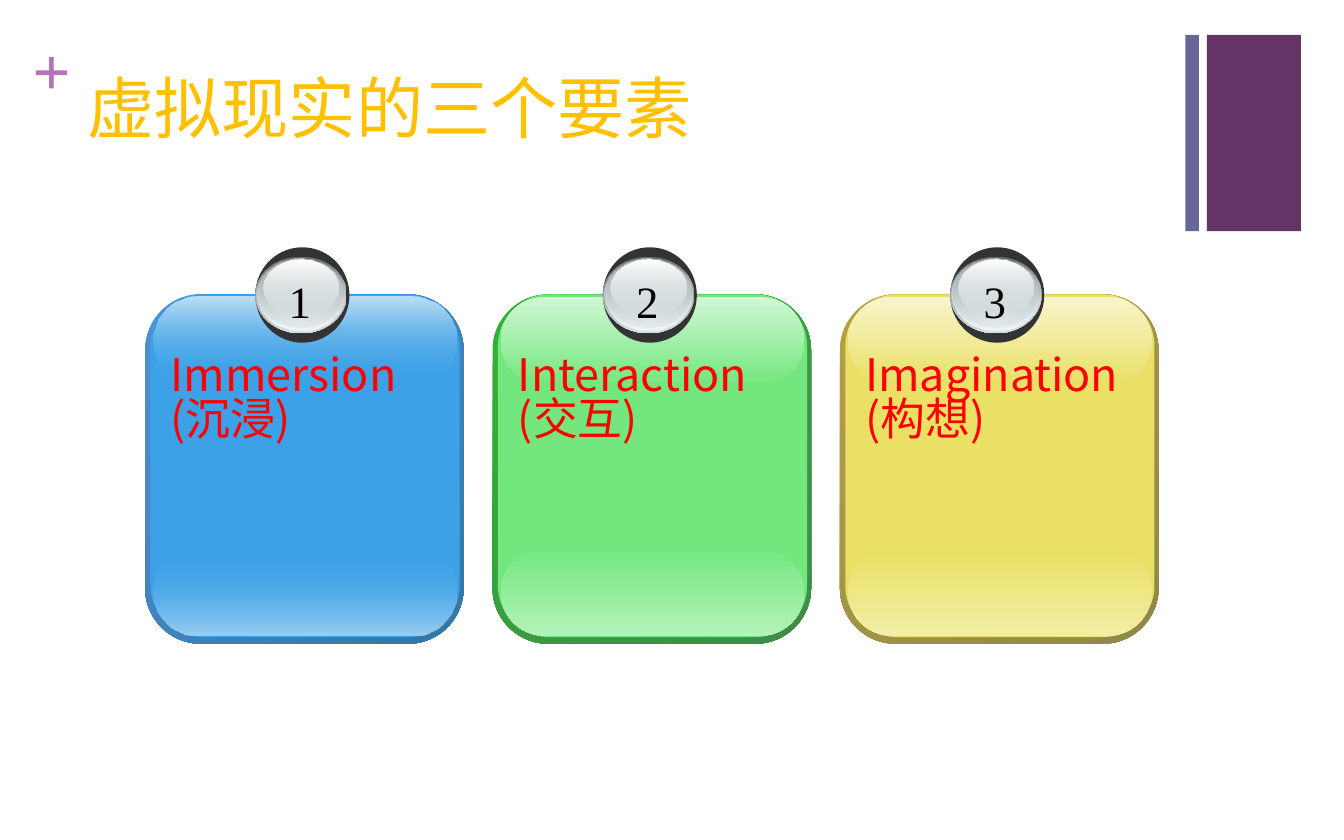
from dataclasses import dataclass

from lxml import etree
from pptx import Presentation
from pptx.dml.color import RGBColor
from pptx.enum import shapes, text
from pptx.oxml import ns
from pptx.util import Inches, Pt


@dataclass(frozen=True)
class Theme:
    title: str = "FFC000"
    label: str = "FF0000"
    number: str = "000000"
    plus: str = "B870B8"
    block: str = "663366"
    stripe: str = "666699"
    badge_rim: str = "333333"
    title_font: str = "Roboto Slab"
    label_font: str = "Noto Sans CJK SC"
    number_font: str = "Times New Roman"
    title_size: int = 36
    label_size: int = 24


THEME = Theme()
ROUND, OVAL = shapes.MSO_SHAPE.ROUNDED_RECTANGLE, shapes.MSO_SHAPE.OVAL

# Gradient stops are (colour, opacity in percent).
# Badge layers: offset and size within the badge, then the stops.
BADGE_LAYERS = [
    (0, 0.07, 0.68, 0.57, (("636869", 100), ("D6E1E2", 100))),
    (0.01, 0.07, 0.66, 0.55, (("D6E1E2", 0), ("F1F5F5", 100))),
    (0.02, 0.08, 0.63, 0.52, (("AAB2B3", 100), ("D6E1E2", 48))),
    (0.06, 0.09, 0.56, 0.42, (("FFFFFF", 100), ("D6E1E2", 38))),
]

# Number, label lines, edge colours, face, top glow, bottom glow, glow fade opacity
CARDS = [
    ("1", ("Immersion", "(沉浸)"), ("4E91D4", "3477A4"), "3CA1E6", "BEE0F7", "9BCFF2", 0),
    ("2", ("Interaction", "(交互)"), ("34B034", "3F8B4A"), "73E77E", "D0F7D4", "B3F2B9", 100),
    ("3", ("Imagination", "(构想)"), ("B59F43", "8F8849"), "E9E065", "F8F5CC", "F2EDA6", 100),
]
CARD_LEFT, CARD_TOP, CARD_PITCH = 1.08, 2.19, 2.585


def add_filled(slide, kind, box, fill, angle=90, corner=None):
    """Add a borderless shape; fill is a colour or a pair of gradient stops."""
    shape = slide.shapes.add_shape(kind, *map(Inches, box))
    shape.shadow.inherit = False
    shape.line.fill.background()
    if corner is not None:
        shape.adjustments[0] = corner
    if isinstance(fill, str):
        shape.fill.solid()
        shape.fill.fore_color.rgb = RGBColor.from_string(fill)
        return
    shape.fill.gradient()
    shape.fill.gradient_angle = 360 - angle
    for stop, (color, _) in zip(shape.fill.gradient_stops, fill):
        stop.color.rgb = RGBColor.from_string(color)
    colors = shape.fill._xPr.iter(ns.qn("a:srgbClr"))
    for element, (_, opacity) in zip(colors, fill):
        if opacity < 100:
            etree.SubElement(element, ns.qn("a:alpha")).set("val", str(opacity * 1000))


def write_lines(frame, lines, font_name, size, color, bold=False, spacing=None):
    for index, line in enumerate(lines):
        paragraph = frame.paragraphs[0] if index == 0 else frame.add_paragraph()
        paragraph.text = line
        paragraph.alignment = text.PP_ALIGN.LEFT
        paragraph.line_spacing = spacing
        font = paragraph.font
        font.name, font.size, font.bold = font_name, Pt(size), bold
        font.color.rgb = RGBColor.from_string(color)


def add_text(slide, box, lines, *style, wrap=True, inset=True, **options):
    frame = slide.shapes.add_textbox(*map(Inches, box)).text_frame
    frame.word_wrap = wrap
    if not inset:
        frame.margin_left = frame.margin_right = frame.margin_top = frame.margin_bottom = 0
    write_lines(frame, lines, *style, **options)


def add_header(slide, left, top, width, height):
    title = slide.shapes.title
    title.left, title.top, title.width, title.height = map(Inches, (left, top, width, height))
    title.text_frame.vertical_anchor = text.MSO_ANCHOR.TOP
    write_lines(title.text_frame, ["虚拟现实的三个要素"], THEME.title_font,
                THEME.title_size, THEME.title)
    add_text(slide, (left - 0.31, top - 0.23, 0.29, 0.61), ["+"], THEME.number_font,
             THEME.title_size, THEME.plus, bold=True, inset=False)


def add_corner_bars(slide, left, top, height):
    bar = shapes.MSO_SHAPE.RECTANGLE
    add_filled(slide, bar, (left, top, 0.1, height), THEME.stripe)
    add_filled(slide, bar, (left + 0.16, top, 0.7, height), THEME.block)


def add_badge(slide, left, top, number):
    add_filled(slide, OVAL, (left, top, 0.7, 0.71), THEME.badge_rim)
    for dx, dy, width, height, stops in BADGE_LAYERS:
        add_filled(slide, OVAL, (left + dx, top + dy, width, height), stops)
    add_text(slide, (left + 0.15, top + 0.15, 0.37, 0.5), [number], THEME.number_font,
             THEME.label_size, THEME.number, wrap=False)


def add_card(slide, left, top, width, height, card):
    number, label, edge, face, top_glow, bottom_glow, fade = card
    add_filled(slide, ROUND, (left, top, width, height),
               [(color, 100) for color in edge], angle=45, corner=0.175)
    add_filled(slide, ROUND, (left + 0.04, top, width - 0.07, height - 0.05),
               face, corner=0.167)
    glow_left, glow_width, glow_height = left + 0.06, width - 0.11, 0.65
    add_filled(slide, ROUND, (glow_left, top + height - 0.06 - glow_height, glow_width, glow_height),
               ((face, fade), (bottom_glow, 100)), corner=0.5)
    add_filled(slide, ROUND, (glow_left, top + 0.02, glow_width, glow_height),
               ((top_glow, 100), (face, fade)), corner=0.5)
    add_badge(slide, left + 0.82, top - 0.35, number)
    add_text(slide, (left + 0.09, top + 0.41, 2.25, 0.91), label, THEME.label_font,
             THEME.label_size, THEME.label, spacing=0.82)


def main():
    deck = Presentation()
    deck.slide_width, deck.slide_height = Inches(10), Inches(6.25)
    slide = deck.slides.add_slide(deck.slide_layouts[5])
    add_corner_bars(slide, 8.82, 0.26, 1.46)
    add_header(slide, 0.55, 0.44, 8.26, 1.02)
    for index, card in enumerate(CARDS):
        add_card(slide, CARD_LEFT + index * CARD_PITCH, CARD_TOP, 2.37, 2.6, card)
    deck.save("out.pptx")


if __name__ == "__main__":
    main()
